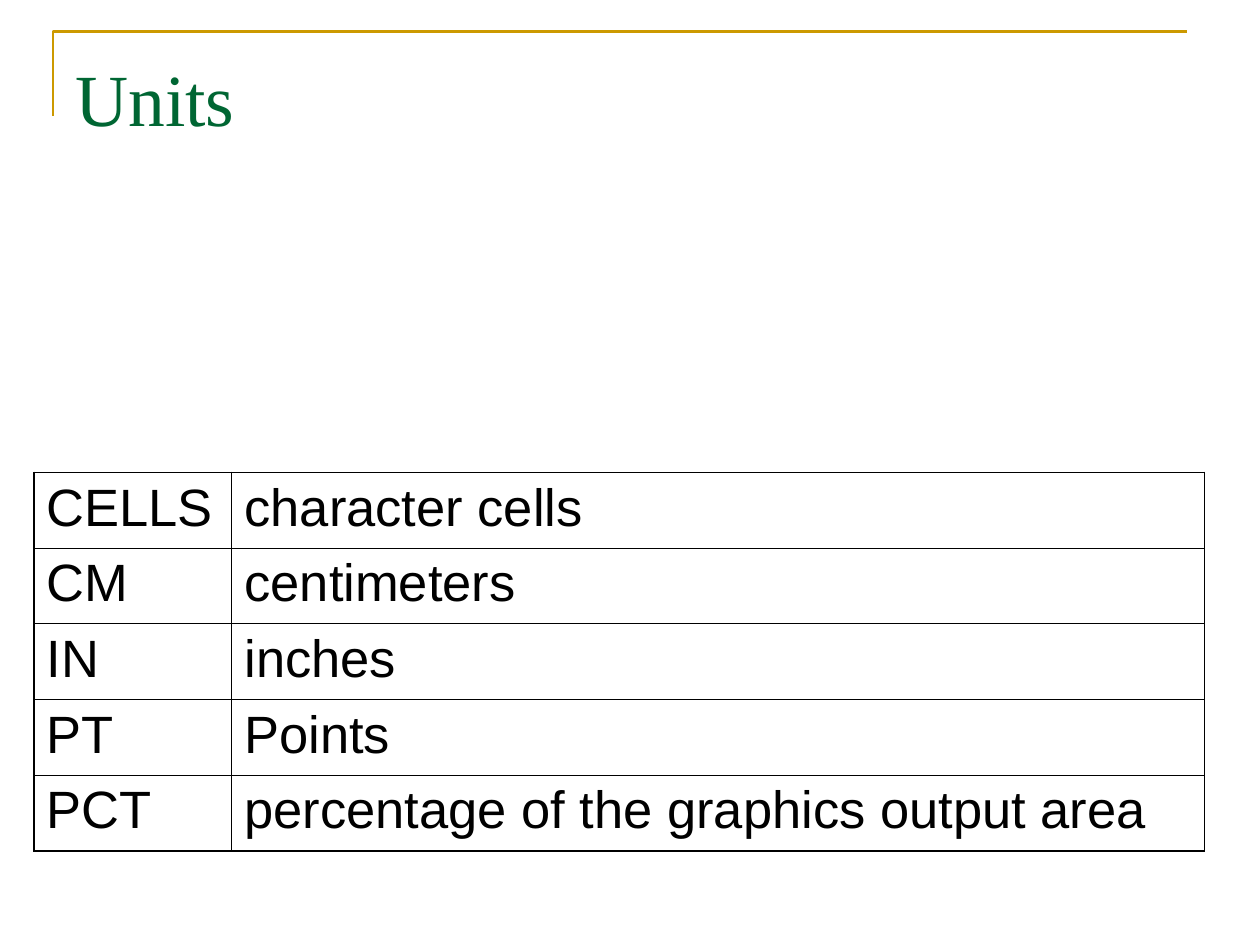
"""Build the Units slide with its table of measurement units."""
from lxml.etree import SubElement
from pptx import Presentation
from pptx.dml.color import RGBColor
from pptx.oxml.ns import qn
from pptx.util import Inches, Pt

GOLD = RGBColor(0xCC, 0x99, 0x00)
GREEN = RGBColor(0x00, 0x66, 0x33)
BLACK = RGBColor(0x00, 0x00, 0x00)
THICK, THIN = Pt(1.08), Pt(0.45)
UNITS = [
    ("CELLS", "character cells"),
    ("CM", "centimeters"),
    ("IN", "inches"),
    ("PT", "Points"),
    ("PCT", "percentage of the graphics output area"),
]
COLUMN_WIDTHS = [Inches(1.57), Inches(7.72)]
ROW_HEIGHT = Inches(0.6)


def style_text(paragraph, font_name, size, color):
    paragraph.font.name = font_name
    paragraph.font.size = Pt(size)
    paragraph.font.color.rgb = color


def add_border(cell, side, width):
    line = SubElement(cell._tc.get_or_add_tcPr(), qn(f"a:ln{side}"), w=str(width))
    fill = SubElement(line, qn("a:solidFill"))
    SubElement(fill, qn("a:srgbClr"), val=str(BLACK))


deck = Presentation()
deck.slide_width, deck.slide_height = Inches(10), Inches(7.5)
page = deck.slides.add_slide(deck.slide_layouts[6])

builder = page.shapes.build_freeform(Inches(0.42), Inches(0.92))
builder.add_line_segments(
    [(Inches(0.42), Inches(0.25)), (Inches(9.42), Inches(0.25))], close=False
)
corner_rule = builder.convert_to_shape()
corner_rule.shadow.inherit = False
corner_rule.fill.background()
corner_rule.line.color.rgb = GOLD
corner_rule.line.width = Pt(1.5)

title = page.shapes.add_textbox(Inches(0.5), Inches(0.3), Inches(9), Inches(1.25))
title.text_frame.word_wrap = True
title.text_frame.margin_top = Inches(0.12)
title.text_frame.text = "Units"
style_text(title.text_frame.paragraphs[0], "Times New Roman", 42, GREEN)

table = page.shapes.add_table(
    len(UNITS), len(COLUMN_WIDTHS), Inches(0.27), Inches(3.75),
    sum(COLUMN_WIDTHS), ROW_HEIGHT * len(UNITS),
).table
table.first_row = table.horz_banding = False
for column, width in zip(table.columns, COLUMN_WIDTHS):
    column.width = width

last_row, last_column = len(UNITS) - 1, len(COLUMN_WIDTHS) - 1
for row, texts in enumerate(UNITS):
    for column, text in enumerate(texts):
        cell = table.cell(row, column)
        cell.text = text
        style_text(cell.text_frame.paragraphs[0], "Arial", 30, BLACK)
        outer_sides = {
            "L": column == 0,
            "R": column == last_column,
            "T": row == 0,
            "B": row == last_row,
        }
        for side, is_outer in outer_sides.items():
            add_border(cell, side, THICK if is_outer else THIN)
        cell.fill.background()

deck.save("out.pptx")
